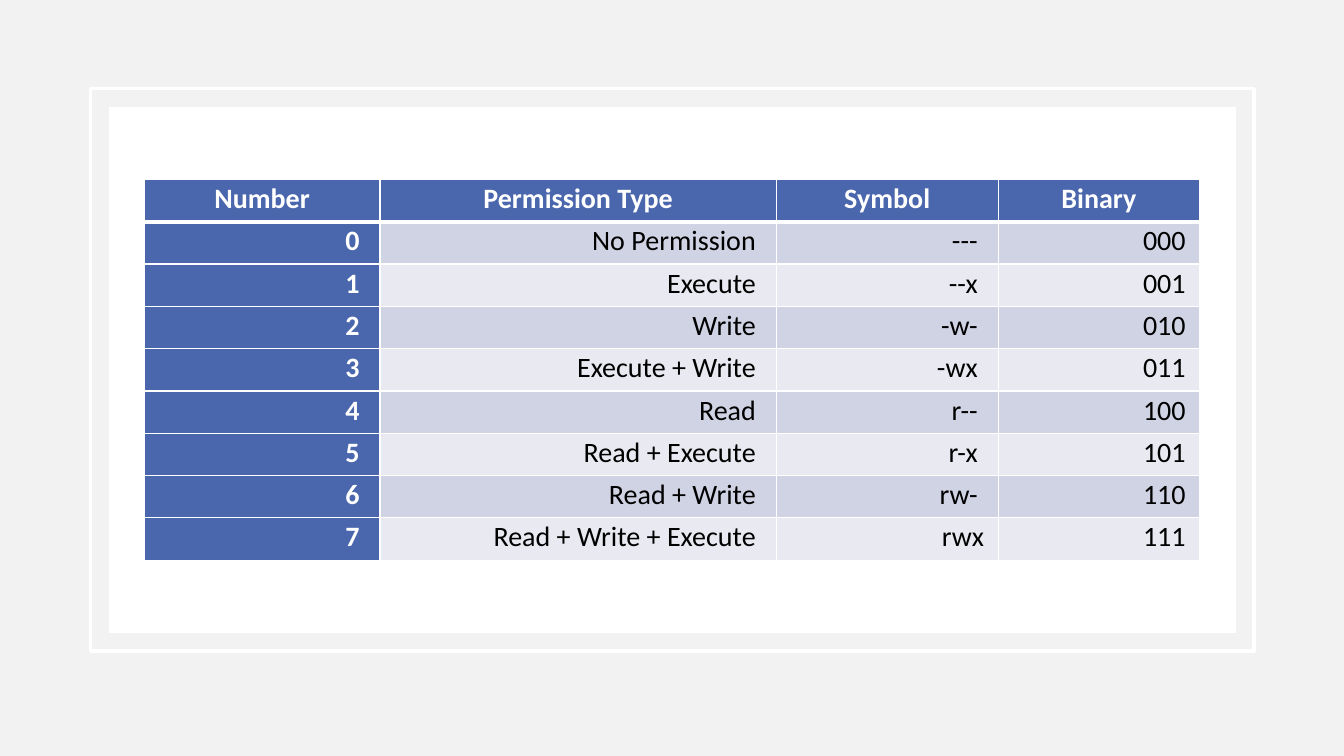
from dataclasses import dataclass
from lxml.etree import SubElement
from pptx import Presentation
from pptx.dml.color import RGBColor
from pptx.enum.shapes import MSO_SHAPE
from pptx.enum.text import PP_ALIGN
from pptx.oxml.ns import qn
from pptx.util import Inches, Pt


@dataclass(frozen=True)
class Theme:
    font: str = "Calibri"
    size: int = 20
    back: str = "F2F2F2"
    white: str = "FFFFFF"
    ink: str = "000000"
    blue: str = "4A66AC"
    bands: tuple = ("D0D3E3", "E9EAF1")
    frame: float = 2.5
    thin: int = 1
    thick: int = 3


class Board:
    def __init__(self, slide, theme):
        self.slide = slide
        self.theme = theme
        self.paint(slide.background.fill, theme.back)

    def paint(self, fill, color):
        fill.solid()
        fill.fore_color.rgb = RGBColor.from_string(color)

    def box(self, left, top, width, height, fill=None, line=None):
        shape = self.slide.shapes.add_shape(
            MSO_SHAPE.RECTANGLE, Inches(left), Inches(top), Inches(width), Inches(height))
        shape.shadow.inherit = False
        if fill:
            self.paint(shape.fill, fill)
        else:
            shape.fill.background()
        if line:
            self.paint(shape.line.fill, line)
            shape.line.width = Pt(self.theme.frame)
        else:
            shape.line.fill.background()

    def edge(self, cell, side, width):
        props = cell._tc.get_or_add_tcPr()
        line = SubElement(props, qn(f"a:ln{side}"), w=str(Pt(width)))
        fill = SubElement(line, qn("a:solidFill"))
        SubElement(fill, qn("a:srgbClr"), val=self.theme.white)

    def cell(self, cell, text, row, col):
        theme = self.theme
        head = row == 0
        key = head or col == 0
        cell.margin_left = cell.margin_right = Inches(0.14)
        cell.margin_top = cell.margin_bottom = 0
        self.edge(cell, "L", theme.thin)
        self.edge(cell, "R", theme.thin)
        self.edge(cell, "T", theme.thick if row == 1 else theme.thin)
        self.edge(cell, "B", theme.thick if head else theme.thin)
        self.paint(cell.fill, theme.blue if key else theme.bands[(row - 1) % 2])
        para = cell.text_frame.paragraphs[0]
        para.alignment = PP_ALIGN.CENTER if head else PP_ALIGN.RIGHT
        para.line_spacing = 1.07
        run = para.add_run()
        run.text = text
        run.font.name = theme.font
        run.font.size = Pt(theme.size)
        run.font.bold = key
        run.font.color.rgb = RGBColor.from_string(theme.white if key else theme.ink)

    def table(self, left, top, widths, height, rows):
        table = self.slide.shapes.add_table(
            len(rows), len(widths), Inches(left), Inches(top),
            Inches(sum(widths)), Inches(height * len(rows))).table
        for col, width in zip(table.columns, widths):
            col.width = Inches(width)
        for i, row in enumerate(rows):
            table.rows[i].height = Inches(height)
            for j, text in enumerate(row):
                self.cell(table.cell(i, j), text, i, j)


def main():
    deck = Presentation()
    deck.slide_width = Inches(13.33)
    deck.slide_height = Inches(7.5)
    theme = Theme()
    board = Board(deck.slides.add_slide(deck.slide_layouts[6]), theme)
    board.box(0.9, 0.88, 11.54, 5.58, line=theme.white)
    board.box(1.08, 1.06, 11.18, 5.22, fill=theme.white)
    modes = [
        ("No Permission ", "--- "),
        ("Execute ", "--x "),
        ("Write ", "-w- "),
        ("Execute + Write ", "-wx "),
        ("Read ", "r-- "),
        ("Read + Execute ", "r-x "),
        ("Read + Write ", "rw- "),
        ("Read + Write + Execute ", "rwx"),
    ]
    rows = [("Number", "Permission Type", "Symbol", "Binary")]
    rows += [(f"{n} ", kind, sign, f"{n:03b}") for n, (kind, sign) in enumerate(modes)]
    board.table(1.43, 1.78, (2.34, 3.93, 2.2, 2), 0.42, rows)
    deck.save("out.pptx")


if __name__ == "__main__":
    main()
